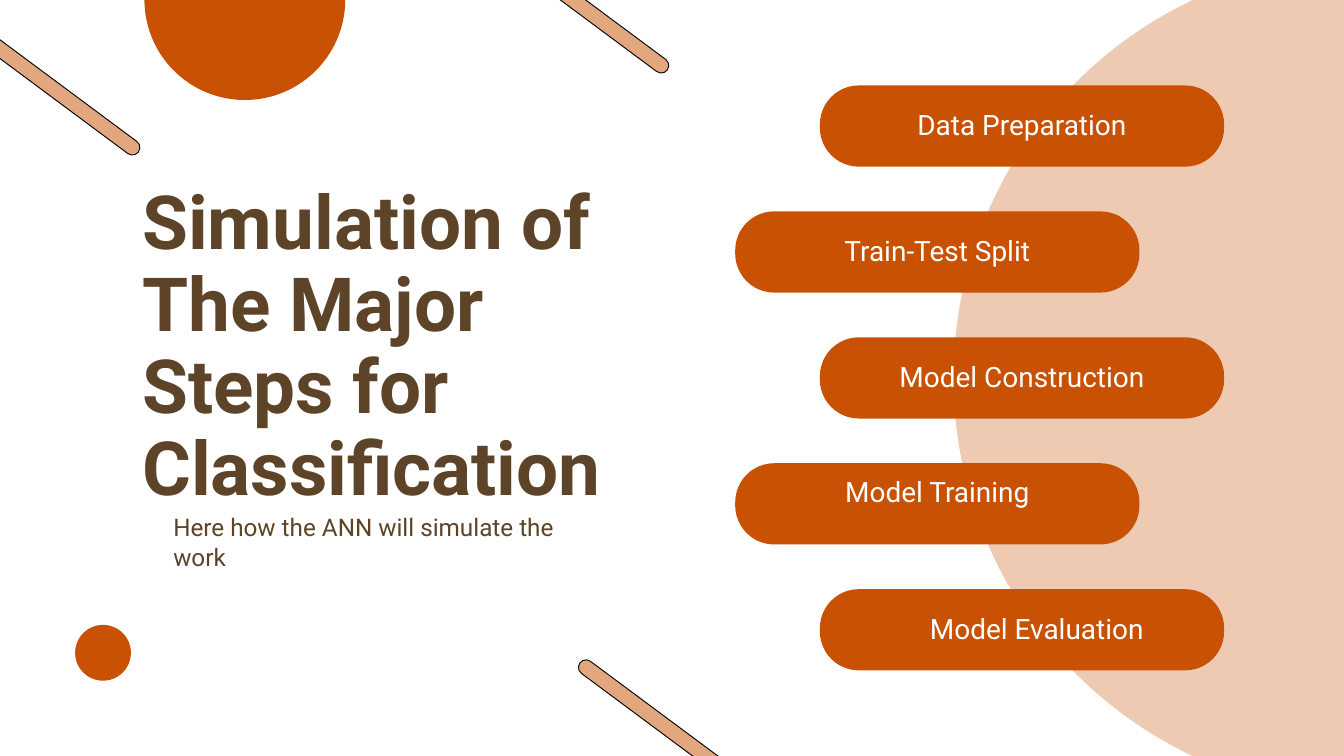
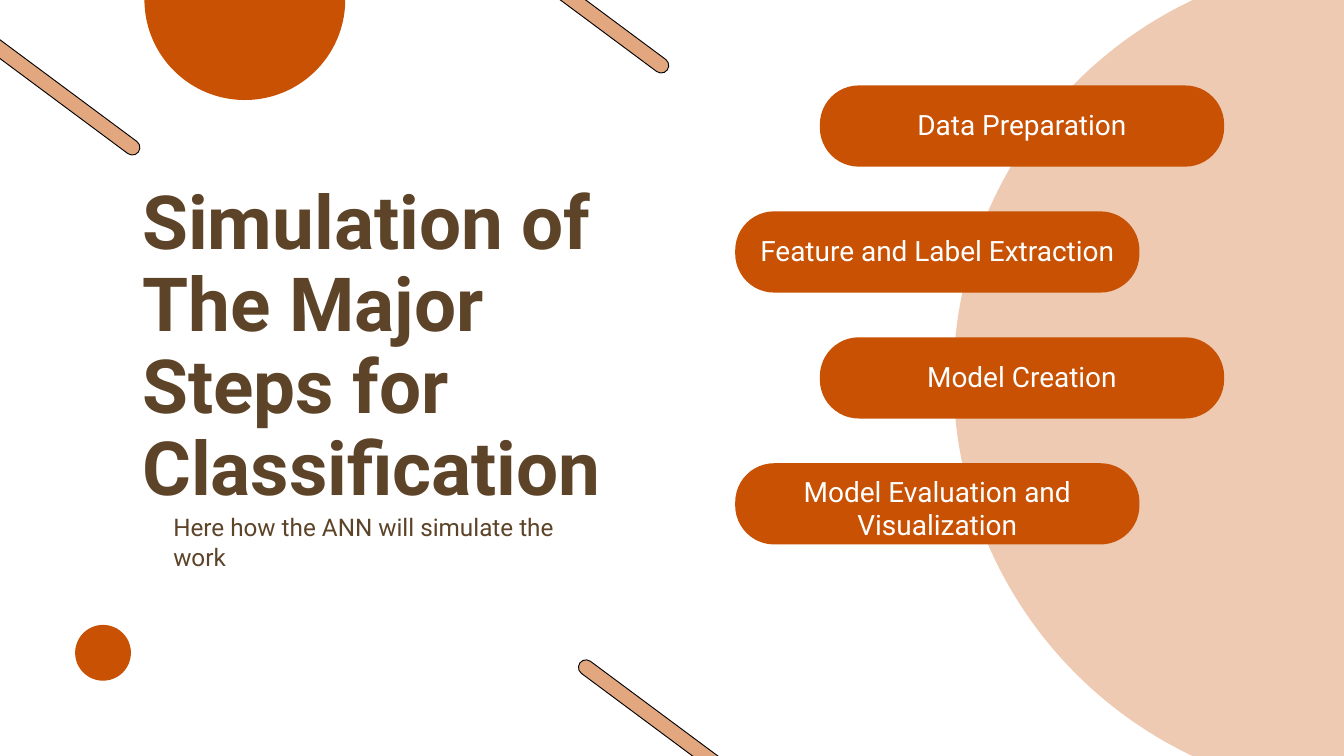
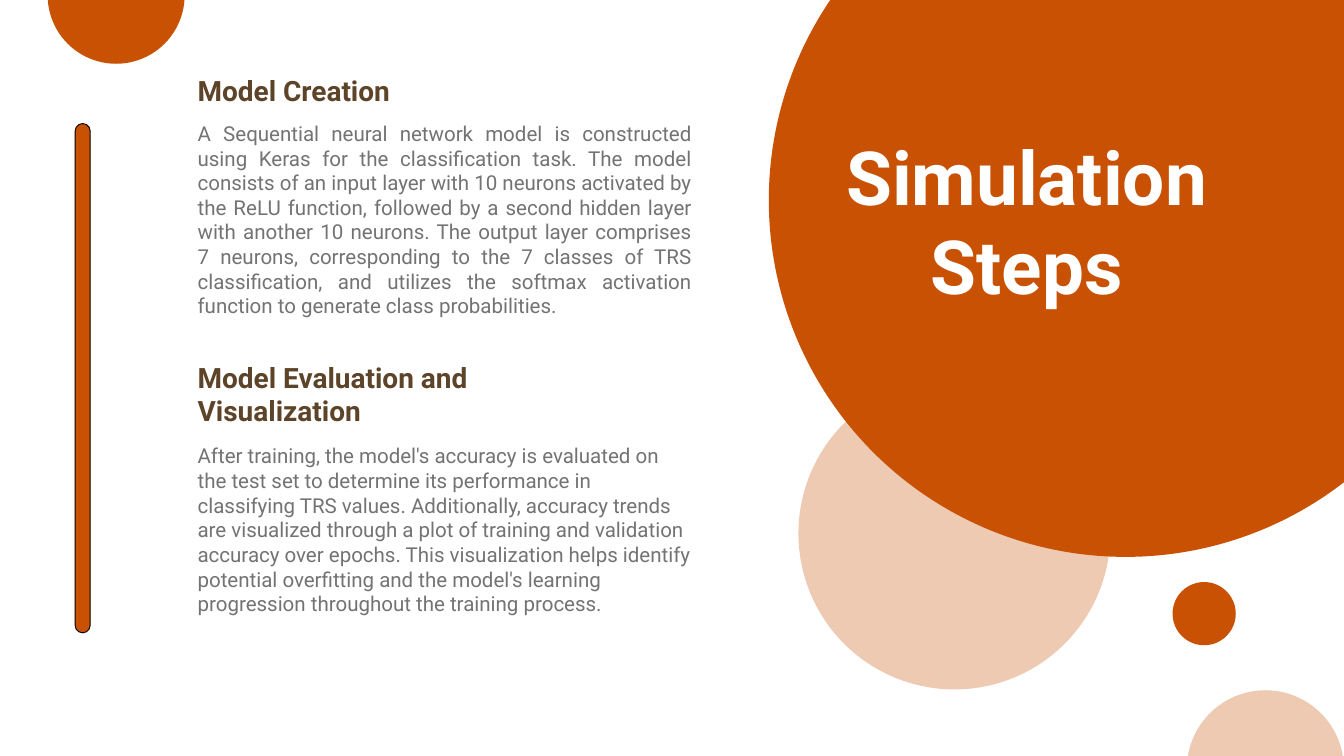
from dataclasses import dataclass
from typing import NamedTuple

from lxml.etree import SubElement
from pptx import Presentation
from pptx.dml.color import RGBColor
from pptx.enum.shapes import MSO_SHAPE as Shape
from pptx.enum.text import MSO_ANCHOR as Anchor, PP_ALIGN as Align
from pptx.oxml.ns import qn
from pptx.util import Cm, Pt


class Box(NamedTuple):
    """A rectangle in centimetres."""
    left: float
    top: float
    width: float
    height: float

    def inner(self, left, top, width, height):
        """Return a box given relative to this one."""
        return Box(self.left + left, self.top + top, width, height)

    def lengths(self):
        """Return the four lengths for python-pptx."""
        return [Cm(length) for length in self]


class TextStyle(NamedTuple):
    """Size, leading and look of one kind of text."""
    size: float
    leading: float
    colour: str
    bold: bool = False
    align: Align = Align.LEFT


class Step(NamedTuple):
    """A step label and its place on the pill."""
    label: str
    width: float = 11.53
    height: float = 1.32
    drop: float = 0.84
    shift: float = 0


@dataclass(frozen=True)
class Theme:
    """Colours, font and type styles shared by the slides."""
    accent: str = "C85103"
    outline: str = "000000"
    pale: int = 30
    medium: int = 50
    font: str = "Roboto"
    title: TextStyle = TextStyle(80, 88, "5D4429", True)
    cover: TextStyle = TextStyle(80, 96, "FFFFFF", True, Align.CENTER)
    subtitle: TextStyle = TextStyle(26, 31.2, "5D4429")
    step: TextStyle = TextStyle(30, 36, "FFFFFF", False, Align.CENTER)
    heading: TextStyle = TextStyle(30, 36, "5D4429", True)
    body: TextStyle = TextStyle(22, 26.4, "737373")
    justified: TextStyle = TextStyle(22, 26.4, "737373", False, Align.JUSTIFY)


THEME = Theme()
SLIDE = Box(0, 0, 50.8, 28.58)
BAR_LENGTH, BAR_WIDTH, BAR_ANGLE = 19.25, 0.57, 36.6


def set_all(target, values):
    """Set each named attribute of the target."""
    for name, value in values.items():
        setattr(target, name, value)


def add_text(page, box, text, style):
    """Add one paragraph of styled text."""
    frame = page.shapes.add_textbox(*box.lengths()).text_frame
    set_all(frame, dict(word_wrap=True, vertical_anchor=Anchor.TOP, margin_left=0,
                        margin_right=0, margin_top=0, margin_bottom=0))
    para = frame.paragraphs[0]
    set_all(para, dict(alignment=style.align, line_spacing=Pt(style.leading)))
    span = para.add_run()
    span.text = text
    set_all(span.font, dict(name=THEME.font, size=Pt(style.size), bold=style.bold))
    span.font.color.rgb = RGBColor.from_string(style.colour)


def add_figure(page, kind, box, opacity=100, outlined=False):
    """Add a preset shape in the accent colour."""
    figure = page.shapes.add_shape(kind, *box.lengths())
    figure.shadow.inherit = False
    figure.fill.solid()
    figure.fill.fore_color.rgb = RGBColor.from_string(THEME.accent)
    if opacity < 100:
        colour = figure.fill._xPr.find(".//" + qn("a:srgbClr"))
        SubElement(colour, qn("a:alpha"), val=str(opacity * 1000))
    if outlined:
        figure.line.color.rgb = RGBColor.from_string(THEME.outline)
        figure.line.width = Pt(1)
    else:
        figure.line.fill.background()
    return figure


def add_circle(page, box, left, top, size, opacity=100):
    """Add a circle relative to the box."""
    add_figure(page, Shape.OVAL, box.inner(left, top, size, size), opacity)


def add_bar(page, box, opacity=100, angle=0):
    """Add an outlined bar with round ends."""
    bar = add_figure(page, Shape.ROUNDED_RECTANGLE, box, opacity, True)
    bar.adjustments[0] = 0.5
    bar.rotation = angle


def add_steps_decoration(page, box):
    """Add the circles and slanted bars around the steps."""
    add_circle(page, box, 36.04, -1.52, 31.62, THEME.pale)
    add_circle(page, box, 5.46, -3.81, 7.59)
    add_circle(page, box, 2.84, 23.62, 2.11)
    for left, top in [(20.02, 30.51), (-12.12, -0.28), (7.87, -3.38)]:
        add_bar(page, box.inner(left, top, BAR_LENGTH, BAR_WIDTH), THEME.medium, BAR_ANGLE)


def add_steps_title(page, box):
    """Add the title with its subtitle below."""
    add_text(page, box.inner(0, 0, box.width, 12.5),
             "Simulation of The Major Steps for Classification", THEME.title)
    add_text(page, box.inner(1.17, 12.5, 15.21, 2.29),
             "Here how the ANN will simulate the work", THEME.subtitle)


def add_steps(page, box, steps):
    """Add the pills, alternating between the right and left edge."""
    width, height, pitch = 15.28, 3.07, 4.76
    for index, step in enumerate(steps):
        left = 0 if index % 2 else box.width - width
        pill_box = box.inner(left, index * pitch, width, height)
        pill = add_figure(page, Shape.ROUNDED_RECTANGLE, pill_box)
        pill.adjustments[0] = 0.48
        indent = (width - step.width) / 2 + step.shift
        add_text(page, pill_box.inner(indent, step.drop, step.width, step.height),
                 step.label, THEME.step)


def build_steps_page(page, box, steps):
    """Build a slide that lists the simulation steps."""
    add_steps_decoration(page, box)
    add_steps_title(page, box.inner(5.38, 6.88, 18.87, 14.79))
    add_steps(page, box.inner(27.79, 3.23, 18.48, 22.11), steps)


def add_section(page, box, heading, body, drop, style):
    """Add a heading and its body text, which starts at the drop."""
    add_text(page, box.inner(0, 0, 12.4, drop - 0.5), heading, THEME.heading)
    add_text(page, box.inner(0, drop, box.width, box.height - drop), body, style)


def add_cover(page, box):
    """Add the circles and the large title on the right."""
    for left, top, size, opacity in [(29.06, -5.92, 26.97, 100),
                                     (30.18, 14.27, 11.79, THEME.pale),
                                     (44.86, 26.09, 5.94, THEME.pale),
                                     (1.8, -2.77, 5.18, 100),
                                     (44.32, 22, 2.39, 100)]:
        add_circle(page, box, left, top, size, opacity)
    add_text(page, box.inner(31.14, 4.93, 15.34, 6.83), "Simulation Steps", THEME.cover)


def build_details_page(page, box):
    """Build the slide that explains two of the steps."""
    add_cover(page, box)
    add_bar(page, box.inner(2.84, 4.67, BAR_WIDTH, BAR_LENGTH))
    add_section(
        page, box.inner(7.47, 2.79, 18.67, 10.19), "Model Creation",
        "A Sequential neural network model is constructed using Keras for the "
        "classification task. The model consists of an input layer with 10 neurons "
        "activated by the ReLU function, followed by a second hidden layer with another "
        "10 neurons. The output layer comprises 7 neurons, corresponding to the 7 classes "
        "of TRS classification, and utilizes the softmax activation function to generate "
        "class probabilities.", 1.78, THEME.justified)
    add_section(
        page, box.inner(7.47, 13.61, 18.67, 10.64), "Model Evaluation and Visualization",
        "After training, the model's accuracy is evaluated on the test set to determine "
        "its performance in classifying TRS values. Additionally, accuracy trends are "
        "visualized through a plot of training and validation accuracy over epochs. This "
        "visualization helps identify potential overfitting and the model's learning "
        "progression throughout the training process.", 3.15, THEME.body)


def main():
    """Build the deck and save it."""
    deck = Presentation()
    set_all(deck, dict(slide_width=Cm(50.8), slide_height=Cm(28.575)))
    blank = deck.slide_layouts[6]
    preparation = Step("Data Preparation", width=8.89)
    step_lists = [
        [preparation,
         Step("Train-Test Split", width=14.83),
         Step("Model Construction"),
         Step("Model Training", drop=0.41),
         Step("Model Evaluation", shift=0.56)],
        [preparation,
         Step("Feature and Label Extraction", width=14.83),
         Step("Model Creation"),
         Step("Model Evaluation and Visualization", height=2.59, drop=0.41)],
    ]
    for steps in step_lists:
        build_steps_page(deck.slides.add_slide(blank), SLIDE, steps)
    build_details_page(deck.slides.add_slide(blank), SLIDE)
    deck.save("out.pptx")


if __name__ == "__main__":
    main()
